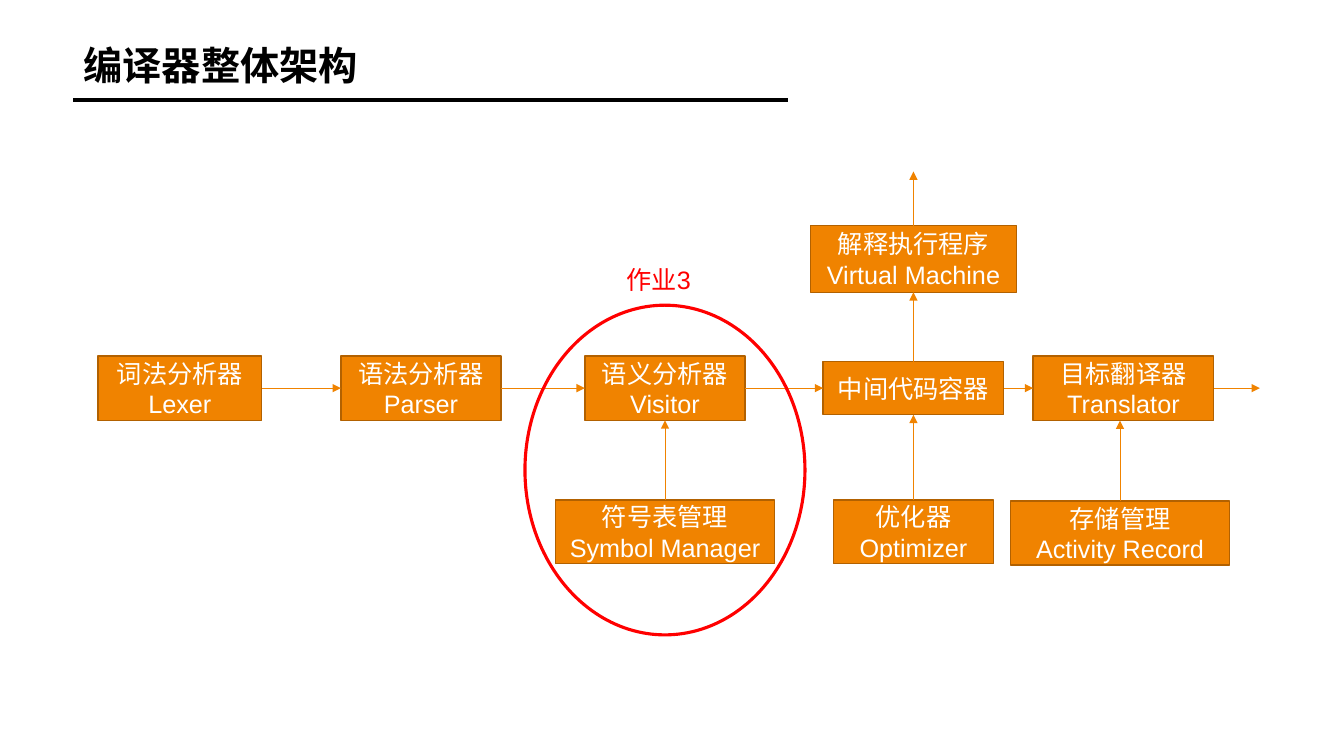
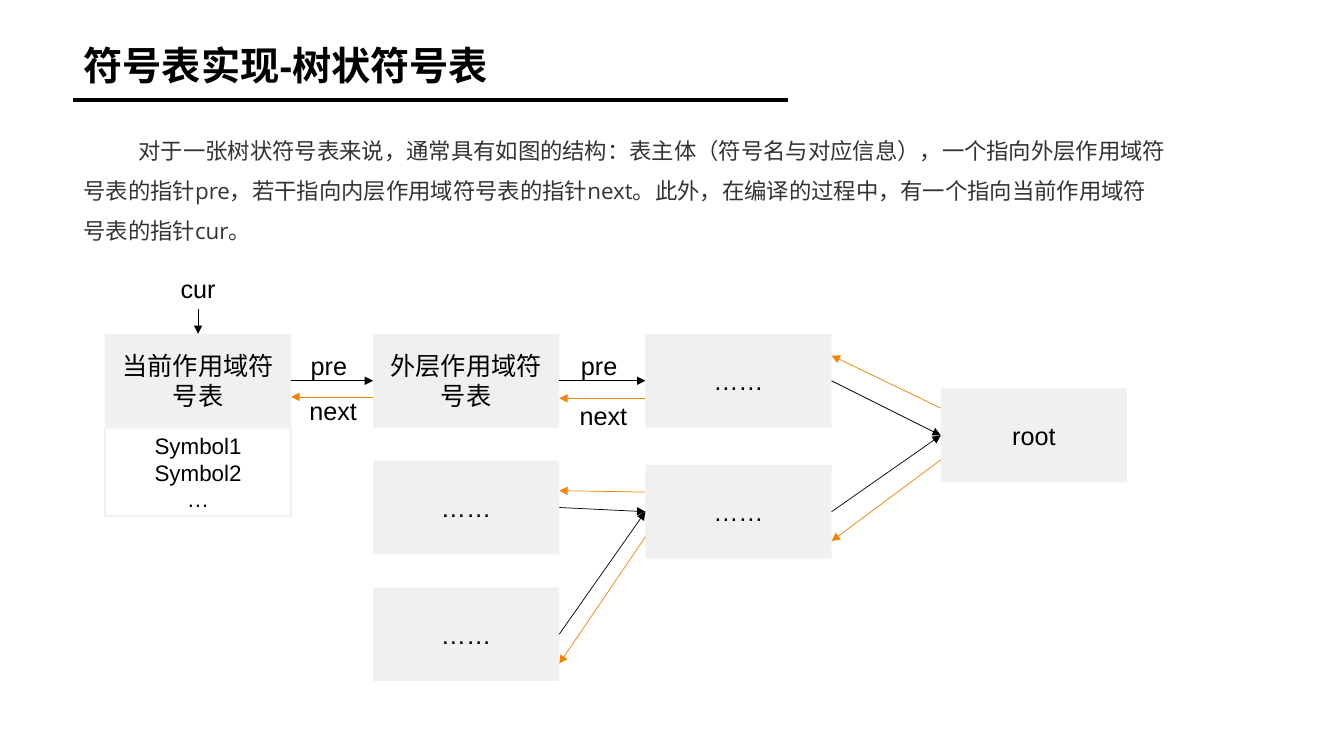
from lxml import etree
from pptx import Presentation, util as u
from pptx.dml.color import RGBColor
from pptx.enum import lang, shapes, text
from pptx.oxml import ns

ORANGE = RGBColor(0xF0, 0x83, 0x00)
BROWN = RGBColor(0xB2, 0x61, 0x00)
RED = RGBColor(0xFF, 0x00, 0x00)
BLACK = RGBColor(0x00, 0x00, 0x00)
WHITE = RGBColor(0xFF, 0xFF, 0xFF)
GREY = RGBColor(0xF0, 0xF0, 0xF0)
DARK = RGBColor(0x33, 0x33, 0x33)

LEFT = 52.5
TOP_SIDE, LEFT_SIDE, BOTTOM_SIDE, RIGHT_SIDE = range(4)
CELL_WIDTH, CELL_HEIGHT = 133, 67


def points(*lengths):
    return [u.Pt(length) for length in lengths]


def write(frame, lines, size, color, font="Arial", bold=False,
          align=text.PP_ALIGN.CENTER, spacing=None):
    for number, line in enumerate(lines):
        paragraph = frame.add_paragraph() if number else frame.paragraphs[0]
        paragraph.alignment = align
        paragraph.line_spacing = spacing
        run = paragraph.add_run()
        run.text = line
        run.font.name = font
        run.font.size = u.Pt(size)
        run.font.bold = bold
        run.font.color.rgb = color
        run.font.language_id = lang.MSO_LANGUAGE_ID.SIMPLIFIED_CHINESE


def box(slide, bounds, lines, fill, border, color, size=18):
    shape = slide.shapes.add_shape(shapes.MSO_SHAPE.RECTANGLE, *points(*bounds))
    shape.shadow.inherit = False
    shape.fill.solid()
    shape.fill.fore_color.rgb = fill
    if border is None:
        shape.line.fill.background()
    else:
        shape.line.color.rgb = border
        shape.line.width = u.Pt(1)
    shape.text_frame.vertical_anchor = text.MSO_ANCHOR.MIDDLE
    write(shape.text_frame, lines, size, color)
    return shape


def stage(slide, center_x, center_y, width, height, *lines):
    bounds = (center_x - width / 2, center_y - height / 2, width, height)
    return box(slide, bounds, lines, ORANGE, BROWN, WHITE)


def scope(slide, left, top, caption):
    bounds = (left, top, CELL_WIDTH, CELL_HEIGHT)
    return box(slide, bounds, [caption], GREY, None, BLACK)


def textbox(slide, bounds, wrap=True):
    frame = slide.shapes.add_textbox(*points(*bounds)).text_frame
    frame.word_wrap = wrap
    frame.auto_size = text.MSO_AUTO_SIZE.SHAPE_TO_FIT_TEXT
    return frame


def pointer_name(slide, left, top, name):
    write(textbox(slide, (left, top, 50, 29)), [name], 18, BLACK)


def line(slide, color, width, *ends):
    connector = slide.shapes.add_connector(
        shapes.MSO_CONNECTOR.STRAIGHT, *points(*ends))
    connector.line.color.rgb = color
    connector.line.width = u.Pt(width)
    etree.SubElement(connector.element.spPr, ns.qn("a:effectLst"))
    return connector


def arrow(slide, color, *ends):
    connector = line(slide, color, 0.5, *ends)
    outline = connector.element.spPr.find(ns.qn("a:ln"))
    etree.SubElement(outline, ns.qn("a:tailEnd"), type="triangle")
    return connector


def link(slide, color, source, source_side, target, target_side):
    connector = arrow(slide, color, 0, 0, 0, 0)
    connector.begin_connect(source, source_side)
    connector.end_connect(target, target_side)


def titled_slide(deck, heading):
    slide = deck.slides.add_slide(deck.slide_layouts[5])
    title = slide.shapes.title
    title.left, title.top, title.width, title.height = points(LEFT, 30, 855, 81)
    frame = title.text_frame
    frame.vertical_anchor = text.MSO_ANCHOR.TOP
    frame.auto_size = text.MSO_AUTO_SIZE.NONE
    write(frame, [heading], 28, BLACK, bold=True,
          align=text.PP_ALIGN.LEFT, spacing=0.9)
    line(slide, BLACK, 3, LEFT, 71.5, 563, 71.5)
    return slide


def architecture(deck):
    slide = titled_slide(deck, "编译器整体架构")
    main_y, support_y = 277.25, 380
    visitor_x, code_x = 475, 652.5

    lexer = stage(slide, 128.5, main_y, 117, 46, "词法分析器", "Lexer")
    parser = stage(slide, 300.75, main_y, 114.5, 46, "语法分析器", "Parser")
    visitor = stage(slide, visitor_x, main_y, 114.5, 46, "语义分析器", "Visitor")
    code = stage(slide, code_x, main_y, 129, 38, "中间代码容器")
    translator = stage(slide, 802.5, main_y, 129, 46, "目标翻译器", "Translator")
    machine = stage(slide, code_x, 185, 147.5, 47.5,
                    "解释执行程序", "Virtual Machine")
    symbols = stage(slide, visitor_x, support_y, 156.5, 45.5,
                    "符号表管理", "Symbol Manager")
    optimizer = stage(slide, code_x, support_y, 114.5, 45.5, "优化器", "Optimizer")
    stage(slide, 800, support_y + 0.75, 156.5, 45.5, "存储管理", "Activity Record")

    pipeline = [lexer, parser, visitor, code, translator]
    for source, target in zip(pipeline, pipeline[1:]):
        link(slide, ORANGE, source, RIGHT_SIDE, target, LEFT_SIDE)
    for source, target in [(code, machine), (optimizer, code), (symbols, visitor)]:
        link(slide, ORANGE, source, TOP_SIDE, target, BOTTOM_SIDE)
    arrow(slide, ORANGE, 800, 358, 800, 300.5)
    arrow(slide, ORANGE, code_x, 161.25, code_x, 122.5)
    arrow(slide, ORANGE, 867, main_y, 900, main_y)

    homework = slide.shapes.add_shape(
        shapes.MSO_SHAPE.OVAL, *points(375, 218, 200, 235.5))
    homework.shadow.inherit = False
    homework.fill.background()
    homework.line.color.rgb = RED
    homework.line.width = u.Pt(2.25)
    write(textbox(slide, (440.5, 185, 66, 29), wrap=False), ["作业3"], 18, RED,
          align=text.PP_ALIGN.LEFT)


def symbol_tree(deck):
    slide = titled_slide(deck, "符号表实现-树状符号表")
    description = textbox(slide, (LEFT, 85.5, 789, 91.5))
    description.vertical_anchor = text.MSO_ANCHOR.MIDDLE
    write(description, [
        "对于一张树状符号表来说，通常具有如图的结构：表主体（符号名与对应信息），"
        "一个指向外层作用域符号表的指针pre，若干指向内层作用域符号表的指针next。"
        "此外，在编译的过程中，有一个指向当前作用域符号表的指针cur。"
    ], 16, DARK, font="Open Sans", align=text.PP_ALIGN.LEFT, spacing=1.5)
    properties = description.paragraphs[0]._p.get_or_add_pPr()
    properties.set("marL", "0")
    properties.set("indent", str(u.Pt(39.5)))

    current_x, outer_x, far_x, root_x = 75, 266.5, 461, 672
    chain_y = 238.5
    current = scope(slide, current_x, chain_y, "当前作用域符号表")
    outer = scope(slide, outer_x, chain_y, "外层作用域符号表")
    far = scope(slide, far_x, chain_y, "……")
    root = scope(slide, root_x, 277.5, "root")
    branch = scope(slide, far_x, 332, "……")
    upper_leaf = scope(slide, outer_x, 329, "……")
    lower_leaf = scope(slide, outer_x, 419.5, "……")
    box(slide, (current_x, chain_y + CELL_HEIGHT + 0.5, CELL_WIDTH, 62.5),
        ["Symbol1", "Symbol2", "…"], WHITE, GREY, BLACK, size=16)

    for inner, parent in [(current, outer), (outer, far), (far, root),
                          (branch, root), (upper_leaf, branch),
                          (lower_leaf, branch)]:
        link(slide, BLACK, inner, RIGHT_SIDE, parent, LEFT_SIDE)
    current_center = current_x + CELL_WIDTH / 2
    arrow(slide, BLACK, current_center, 220.5, current_center, chain_y)

    for parent_x, from_y, inner_x, to_y in [
            (outer_x, 283.5, current_x, 283.5),
            (far_x, 284.5, outer_x, 284.5),
            (root_x, 291.5, far_x, 254),
            (root_x, 328.5, far_x, 386.5),
            (far_x, 351.5, outer_x, 350.5),
            (far_x, 383.5, outer_x, 474)]:
        arrow(slide, ORANGE, parent_x, from_y, inner_x + CELL_WIDTH, to_y)

    for left, top, name in [(116.5, 191.5, "cur"), (210, 246.5, "pre"),
                            (403, 246.5, "pre"), (213, 279, "next"),
                            (406, 282.5, "next")]:
        pointer_name(slide, left, top, name)


def main():
    deck = Presentation()
    deck.slide_width, deck.slide_height = points(960, 540)
    architecture(deck)
    symbol_tree(deck)
    deck.save("out.pptx")


if __name__ == "__main__":
    main()
